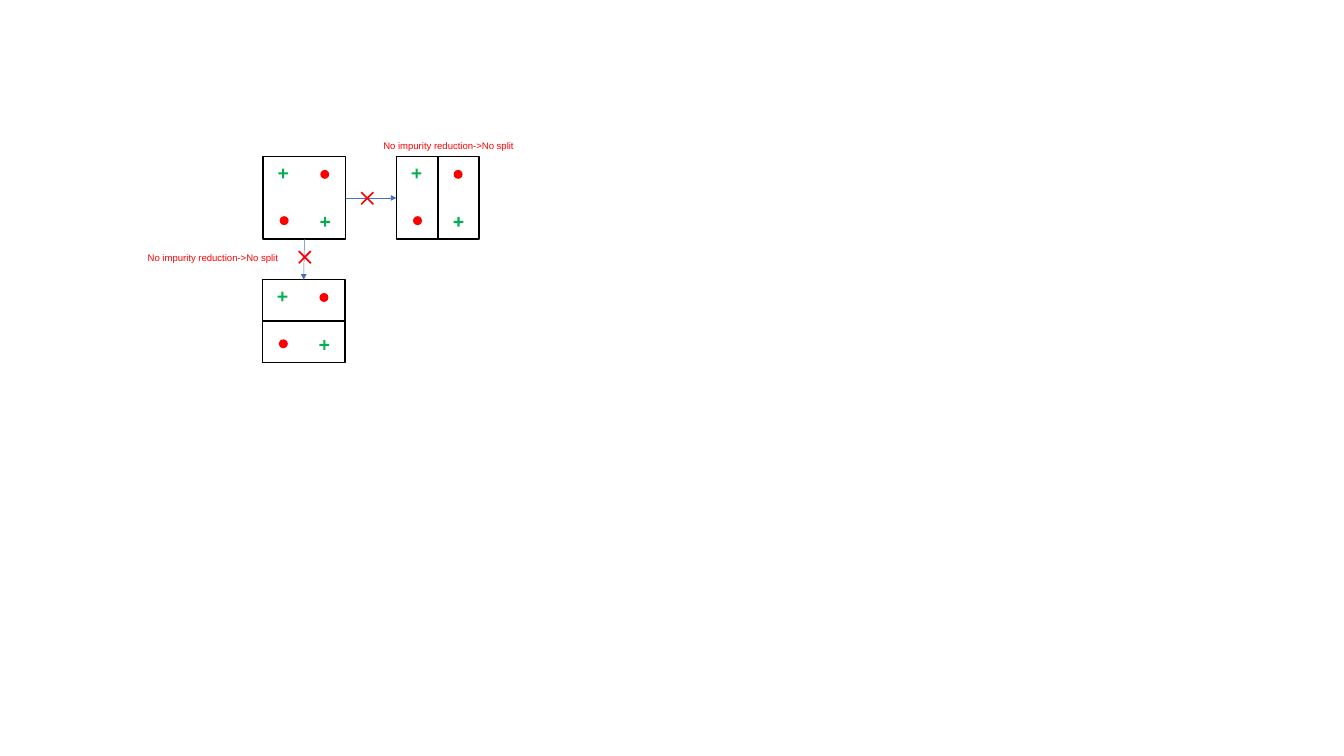
"""Build a slide showing two splits rejected for lack of impurity reduction."""
from pptx import Presentation
from pptx import util as u
from pptx.dml.color import RGBColor
from pptx.enum import shapes, text
from pptx.oxml.ns import qn
from lxml import etree

BLACK = RGBColor(0x00, 0x00, 0x00)
RED = RGBColor(0xFF, 0x00, 0x00)
GREEN = RGBColor(0x00, 0xB0, 0x50)
BLUE = RGBColor(0x44, 0x72, 0xC4)
SIDE = 3.05
PLUS, DOT, CROSS = 0.36, 0.33, 0.63
MST = shapes.MSO_SHAPE

BOXES = {"parent": (9.73, 5.79), "vertical": (14.66, 5.79), "horizontal": (9.7, 10.34)}
PLUSES = [(0.56, 0.44), (2.11, 2.23)]
DOTS = [(2.11, 0.49), (0.61, 2.2)]
ARROWS = [("vertical", 3, 1), ("horizontal", 2, 0)]
CROSSES = [(13.26, 7.01), (10.95, 9.19)]
NOTE = "No impurity reduction->No split"
NOTES = [(13.92, 5.03), (5.21, 9.19)]


def add_shape(s, kind, x, y, size, fill=None, adj=None):
    sp = s.shapes.add_shape(kind, u.Cm(x), u.Cm(y), u.Cm(size), u.Cm(size))
    sp.shadow.inherit = False
    if adj is not None:
        sp.adjustments[0] = adj
    if fill is None:
        sp.fill.background()
        sp.line.color.rgb = BLACK
        sp.line.width = u.Pt(1.5)
    else:
        sp.fill.solid()
        sp.fill.fore_color.rgb = fill
        sp.line.fill.background()
    return sp


def add_line(s, color, width, x1=0, y1=0, x2=0, y2=0):
    ln = s.shapes.add_connector(
        shapes.MSO_CONNECTOR.STRAIGHT, u.Cm(x1), u.Cm(y1), u.Cm(x2), u.Cm(y2))
    ln.line.color.rgb = color
    ln.line.width = u.Pt(width)
    etree.SubElement(ln._element.spPr, qn("a:effectLst"))
    return ln


def add_box(s, x, y):
    box = add_shape(s, MST.RECTANGLE, x, y, SIDE)
    for dx, dy in PLUSES:
        add_shape(s, MST.CROSS, x + dx, y + dy, PLUS, GREEN, 0.396)
    for dx, dy in DOTS:
        add_shape(s, MST.OVAL, x + dx, y + dy, DOT, RED)
    return box


def add_note(s, x, y):
    tf = s.shapes.add_textbox(u.Cm(x), u.Cm(y), u.Cm(5.38), u.Cm(0.69)).text_frame
    tf.word_wrap = False
    tf.auto_size = text.MSO_AUTO_SIZE.SHAPE_TO_FIT_TEXT
    p = tf.paragraphs[0]
    p.text = NOTE
    p.font.name = "Arial"
    p.font.size = u.Pt(10)
    p.font.color.rgb = RED


def main():
    prs = Presentation()
    prs.slide_width, prs.slide_height = u.Cm(49.68), u.Cm(27.94)
    s = prs.slides.add_slide(prs.slide_layouts[6])

    boxes = {name: add_box(s, x, y) for name, (x, y) in BOXES.items()}
    x, y = BOXES["vertical"]
    add_line(s, BLACK, 1.5, x + SIDE / 2, y, x + SIDE / 2, y + SIDE)
    x, y = BOXES["horizontal"]
    add_line(s, BLACK, 1.5, x, y + SIDE / 2, x + SIDE, y + SIDE / 2)

    for target, start, end in ARROWS:
        arrow = add_line(s, BLUE, 0.5)
        arrow.begin_connect(boxes["parent"], start)
        arrow.end_connect(boxes[target], end)
        etree.SubElement(arrow.line._get_or_add_ln(), qn("a:tailEnd"), type="triangle")

    for x, y in CROSSES:
        add_shape(s, MST.CROSS, x, y, CROSS, RED, 0.452).rotation = 45
    for x, y in NOTES:
        add_note(s, x, y)

    prs.save("out.pptx")


if __name__ == "__main__":
    main()
